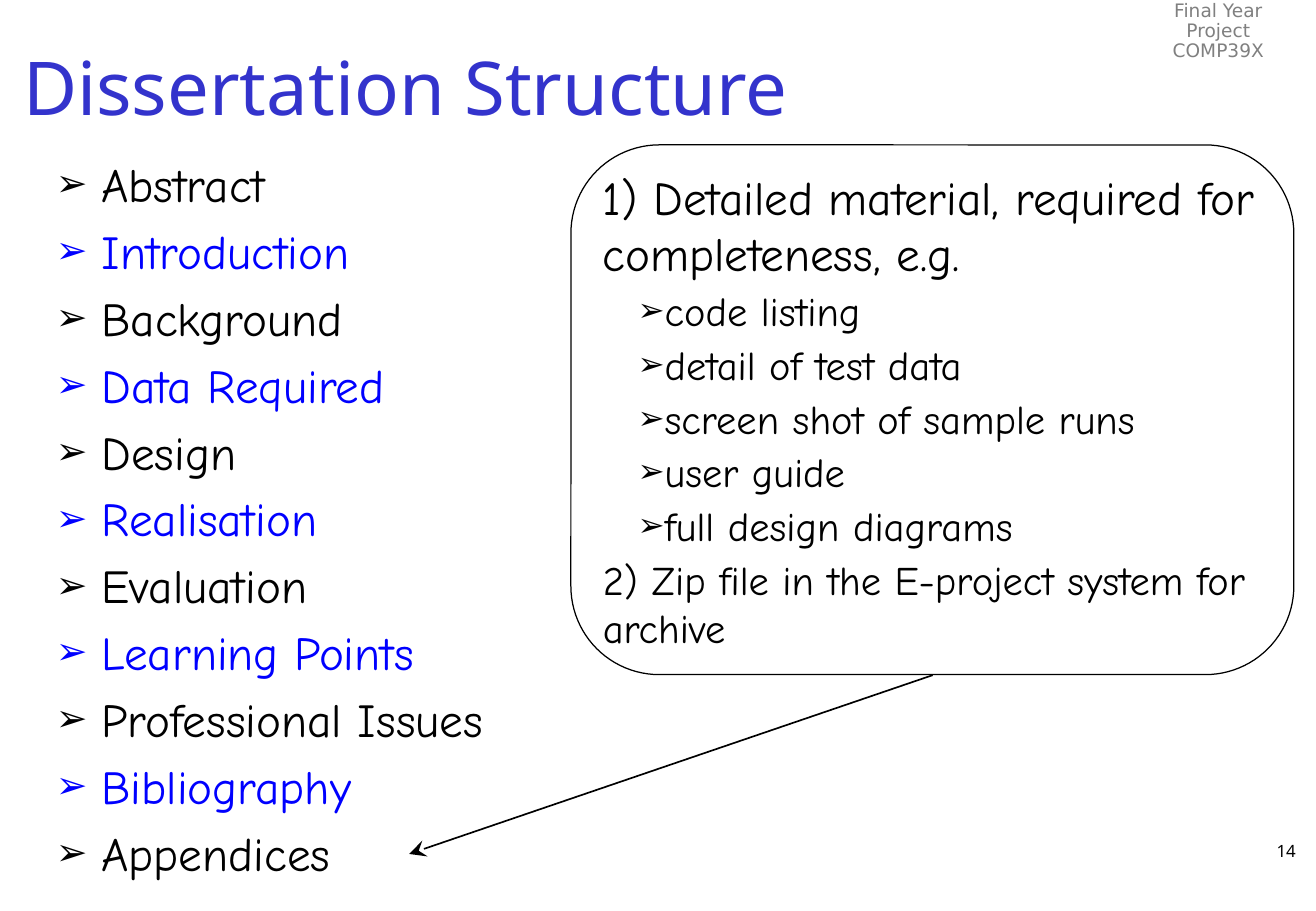
from lxml.etree import SubElement
from pptx import Presentation
from pptx.dml.color import RGBColor
from pptx.enum.shapes import MSO_CONNECTOR as Connector, MSO_SHAPE as Shape
from pptx.enum.text import MSO_ANCHOR as Anchor, MSO_AUTO_SIZE as AutoSize, PP_ALIGN as Align
from pptx.oxml.ns import qn
from pptx.util import Pt

COLORS = {"black": "000000", "blue": "0000FF", "title": "3333CC", "grey": "808080"}
HAND, SANS, HEADER, BULLET = "Comic Neue", "Noto Sans", "DejaVu Sans", "Arial"

SECTIONS = [
    "Abstract", "Introduction", "Background", "Data Required", "Design",
    "Realisation", "Evaluation", "Learning Points", "Professional Issues",
    "Bibliography", "Appendices",
]
MATERIAL = [
    "code listing", "detail of test data", "screen shot of sample runs",
    "user guide", "full design diagrams",
]


def color(name):
    return RGBColor.from_string(COLORS[name])


def place(shape, left, top, width, height):
    shape.left, shape.top = Pt(left), Pt(top)
    shape.width, shape.height = Pt(width), Pt(height)


def style(para, size, font, color_name="black", align=Align.LEFT, before=0, after=0):
    para.alignment = align
    para.space_before, para.space_after = Pt(before), Pt(after)
    for span in para.runs:
        span.font.size = Pt(size)
        span.font.name = font
        span.font.color.rgb = color(color_name)


def add_bullet(para, margin, indent, color_name="black"):
    """Give a paragraph an arrowhead bullet; margin and indent are in points."""
    props = para._p.get_or_add_pPr()
    props.set("marL", str(Pt(margin)))
    props.set("indent", str(Pt(indent)))
    bullet_color = SubElement(props, qn("a:buClr"))
    SubElement(bullet_color, qn("a:srgbClr"), val=COLORS[color_name])
    SubElement(props, qn("a:buSzPct"), val="80000")
    SubElement(props, qn("a:buFont"), typeface=BULLET)
    SubElement(props, qn("a:buChar"), char="➢")


def set_frame(shape, lines, anchor=Anchor.TOP):
    """Fill a shape with one paragraph per line and return the paragraphs."""
    frame = shape.text_frame
    frame.text = "\n".join(lines)
    frame.word_wrap = True
    frame.auto_size = AutoSize.NONE
    frame.vertical_anchor = anchor
    return frame.paragraphs


def add_label(page, lines, bounds, size, font, color_name, align, spacing=1.0):
    box = page.shapes.add_textbox(*map(Pt, bounds))
    for para in set_frame(box, lines):
        style(para, size, font, color_name, align)
        para.line_spacing = spacing


def fill_title(page):
    title = page.shapes.title
    place(title, 6.5, 6, 773, 90)
    for para in set_frame(title, ["Dissertation Structure"], Anchor.MIDDLE):
        style(para, 44, SANS, "title")


def fill_sections(page):
    body = page.placeholders[1]
    place(body, 26, 88.5, 734, 432)
    for number, para in enumerate(set_frame(body, SECTIONS)):
        color_name = "blue" if number % 2 else "black"
        style(para, 28, HAND, color_name, before=3, after=3)
        add_bullet(para, 27, -27, color_name)


def add_callout(page):
    bubble = page.shapes.add_shape(
        Shape.ROUNDED_RECTANGLE, Pt(338.5), Pt(85.9), Pt(428.6), Pt(314))
    bubble.adjustments[0] = 0.167
    bubble.shadow.inherit = False
    bubble.fill.background()
    bubble.line.color.rgb = color("black")
    bubble.line.width = Pt(0.75)
    lines = [
        "1) Detailed material, required for completeness, e.g.",
        *MATERIAL,
        "2) Zip file in the E-project system for archive",
    ]
    paras = set_frame(bubble, lines, Anchor.MIDDLE)
    frame = bubble.text_frame
    frame.margin_left, frame.margin_right = Pt(3.6), Pt(0)
    for number, para in enumerate(paras):
        style(para, 24 if number else 28, HAND, before=3)
        if para.text in MATERIAL:
            para.level = 1
            add_bullet(para, 36, -15.4)


def add_arrow(page, start, end):
    arrow = page.shapes.add_connector(Connector.STRAIGHT, *map(Pt, start + end))
    arrow.line.color.rgb = color("black")
    arrow.line.width = Pt(1)
    SubElement(arrow.line._get_or_add_ln(), qn("a:tailEnd"),
               type="stealth", w="lg", len="lg")
    SubElement(arrow._element.spPr, qn("a:effectLst"))


def main():
    deck = Presentation()
    deck.slide_width, deck.slide_height = Pt(780.25), Pt(540)
    page = deck.slides.add_slide(deck.slide_layouts[1])
    add_label(page, ["Final Year Project", "COMP39X"], (670.5, -2.7, 103.7, 31),
              11, HEADER, "grey", Align.CENTER, 0.9)
    fill_title(page)
    fill_sections(page)
    add_label(page, ["14"], (612.7, 494.6, 162.7, 36), 10, SANS, "black", Align.RIGHT)
    add_callout(page)
    add_arrow(page, (553, 400.2), (242.6, 506.2))
    deck.save("out.pptx")


if __name__ == "__main__":
    main()
